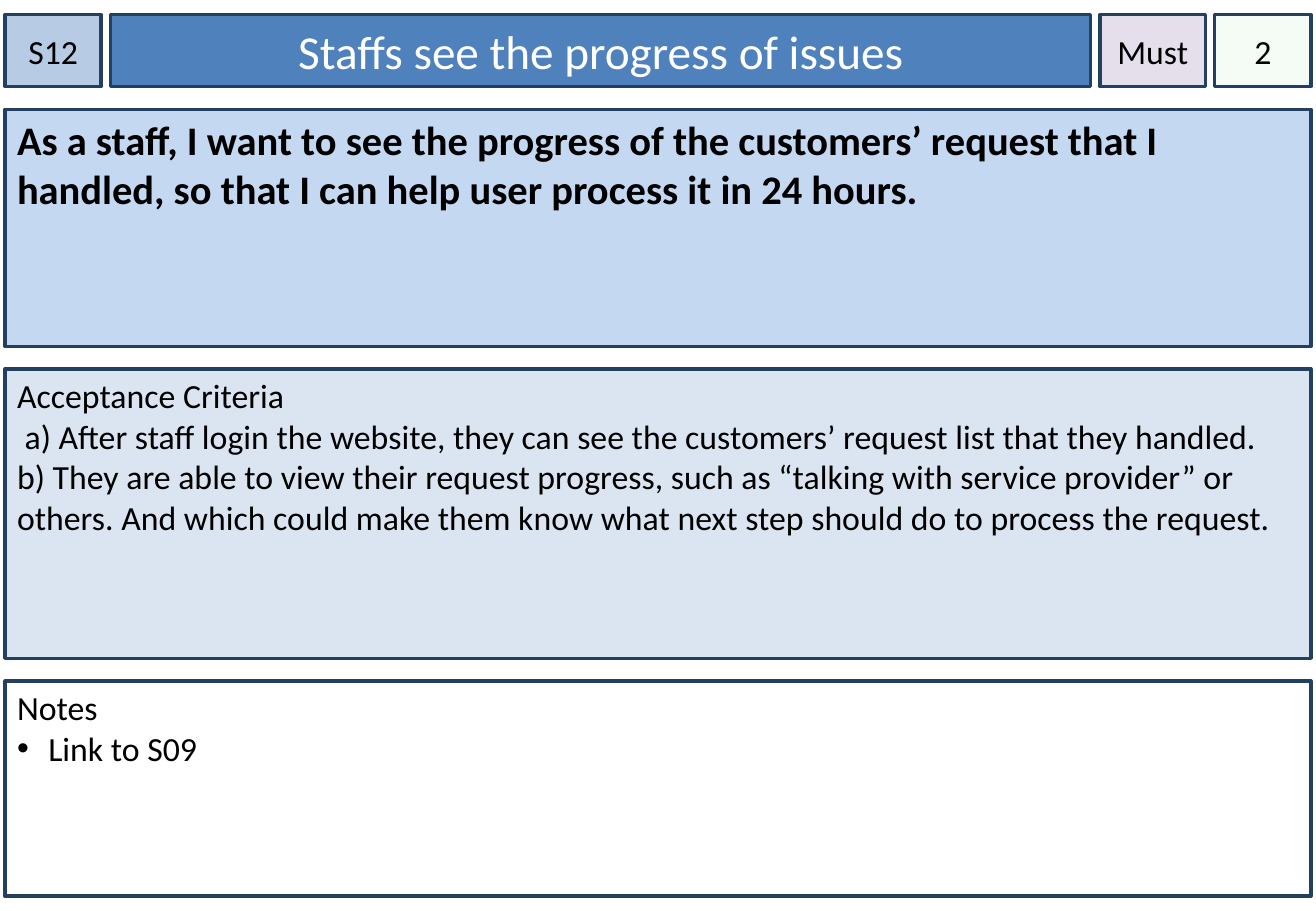
from dataclasses import dataclass

from lxml import etree
from pptx import Presentation
from pptx import util as u
from pptx.dml.color import RGBColor
from pptx.enum import shapes, text
from pptx.oxml.ns import qn


@dataclass(frozen=True)
class Theme:
    font: str = "Calibri"
    ink: str = "000000"
    title_ink: str = "FFFFFF"
    border: str = "244061"
    border_width: float = 2
    story_id: str = "B7CCE4"
    title: str = "4F81BD"
    priority: str = "E5DFEC"
    points: str = "CCF0CD"
    points_opacity: int = 20
    story: str = "C5D8F1"
    criteria: str = "DAE5F1"
    notes: str = "FFFFFF"
    body_size: int = 20
    story_size: int = 24
    title_size: int = 28


class StoryCard:
    """Draws the parts of a user story card on one slide."""

    def __init__(self, deck, theme):
        self.theme = theme
        self.slide = deck.slides.add_slide(deck.slide_layouts[5])

    def paint(self, part, fill, opacity=100):
        part.shadow.inherit = False
        part.fill.solid()
        part.fill.fore_color.rgb = RGBColor.from_string(fill)
        if opacity < 100:
            tint = part.fill._xPr.find(".//" + qn("a:srgbClr"))
            etree.SubElement(tint, qn("a:alpha"), val=str(opacity * 1000))
        part.line.color.rgb = RGBColor.from_string(self.theme.border)
        part.line.width = u.Pt(self.theme.border_width)

    def letter(self, part, lines, size, ink, centred, side=7.2, bold=False):
        frame = part.text_frame
        frame.text = "\n".join(lines)
        frame.word_wrap = True
        frame.auto_size = text.MSO_AUTO_SIZE.NONE
        frame.margin_left = frame.margin_right = u.Pt(side)
        frame.margin_top = frame.margin_bottom = u.Pt(3.6)
        anchor = text.MSO_ANCHOR
        frame.vertical_anchor = anchor.MIDDLE if centred else anchor.TOP
        align = text.PP_ALIGN
        for paragraph in frame.paragraphs:
            paragraph.alignment = align.CENTER if centred else align.LEFT
            for run in paragraph.runs:
                run.font.name = self.theme.font
                run.font.size = u.Pt(size)
                run.font.bold = bold
                run.font.color.rgb = RGBColor.from_string(ink)

    def rectangle(self, box, fill, opacity=100):
        part = self.slide.shapes.add_shape(
            shapes.MSO_SHAPE.RECTANGLE, *map(u.Pt, box))
        self.paint(part, fill, opacity)
        return part

    def title(self, box, wording):
        heading = self.slide.shapes.title
        heading.left, heading.top, heading.width, heading.height = map(u.Pt, box)
        self.paint(heading, self.theme.title)
        self.letter(heading, [wording], self.theme.title_size,
                    self.theme.title_ink, centred=True)

    def badge(self, box, wording, fill, opacity=100):
        part = self.rectangle(box, fill, opacity)
        self.letter(part, [wording], self.theme.body_size, self.theme.ink,
                    centred=True, side=0)

    def panel(self, box, lines, fill, size, bold=False):
        part = self.rectangle(box, fill)
        self.letter(part, lines, size, self.theme.ink, centred=False, bold=bold)
        return part.text_frame.paragraphs

    def indent(self, paragraph, left, bullet=None):
        properties = paragraph._p.get_or_add_pPr()
        properties.set("marL", str(u.Pt(left)))
        if bullet:
            properties.set("indent", str(-u.Pt(left)))
            etree.SubElement(properties, qn("a:buFont"), typeface="Arial")
            etree.SubElement(properties, qn("a:buChar"), char=bullet)


def main():
    deck = Presentation()
    deck.slide_width, deck.slide_height = u.Pt(780), u.Pt(540)
    theme = Theme()
    card = StoryCard(deck, theme)

    left, top, width, header_height = 3, 8.75, 774, 42.5
    column_gap, row_gap = 5.5, 13.5

    header = []
    x = left
    for column in (57, 581, 62.5, 57):
        header.append((x, top, column, header_height))
        x += column + column_gap
    id_box, title_box, priority_box, points_box = header

    rows = []
    y = top + header_height + row_gap
    for height in (140.5, 171.5, 127.5):
        rows.append((left, y, width, height))
        y += height + row_gap
    story_box, criteria_box, notes_box = rows

    card.badge(id_box, "S12", theme.story_id)
    card.title(title_box, "Staffs see the progress of issues")
    card.badge(priority_box, "Must", theme.priority)
    card.badge(points_box, "2", theme.points, theme.points_opacity)

    card.panel(story_box, [
        "As a staff, I want to see the progress of the customers’ request that I "
        "handled, so that I can help user process it in 24 hours.",
    ], theme.story, theme.story_size, bold=True)
    criteria = card.panel(criteria_box, [
        "Acceptance Criteria",
        "a) After staff login the website, they can see the customers’ request "
        "list that they handled.",
        "b) They are able to view their request progress, such as “talking with "
        "service provider” or others. And which could make them know what next "
        "step should do to process the request.",
    ], theme.criteria, theme.body_size)
    card.indent(criteria[1], 4.5)
    notes = card.panel(notes_box, ["Notes", "Link to S09"],
                       theme.notes, theme.body_size)
    card.indent(notes[1], 18.5, bullet="•")

    deck.save("out.pptx")


if __name__ == "__main__":
    main()
